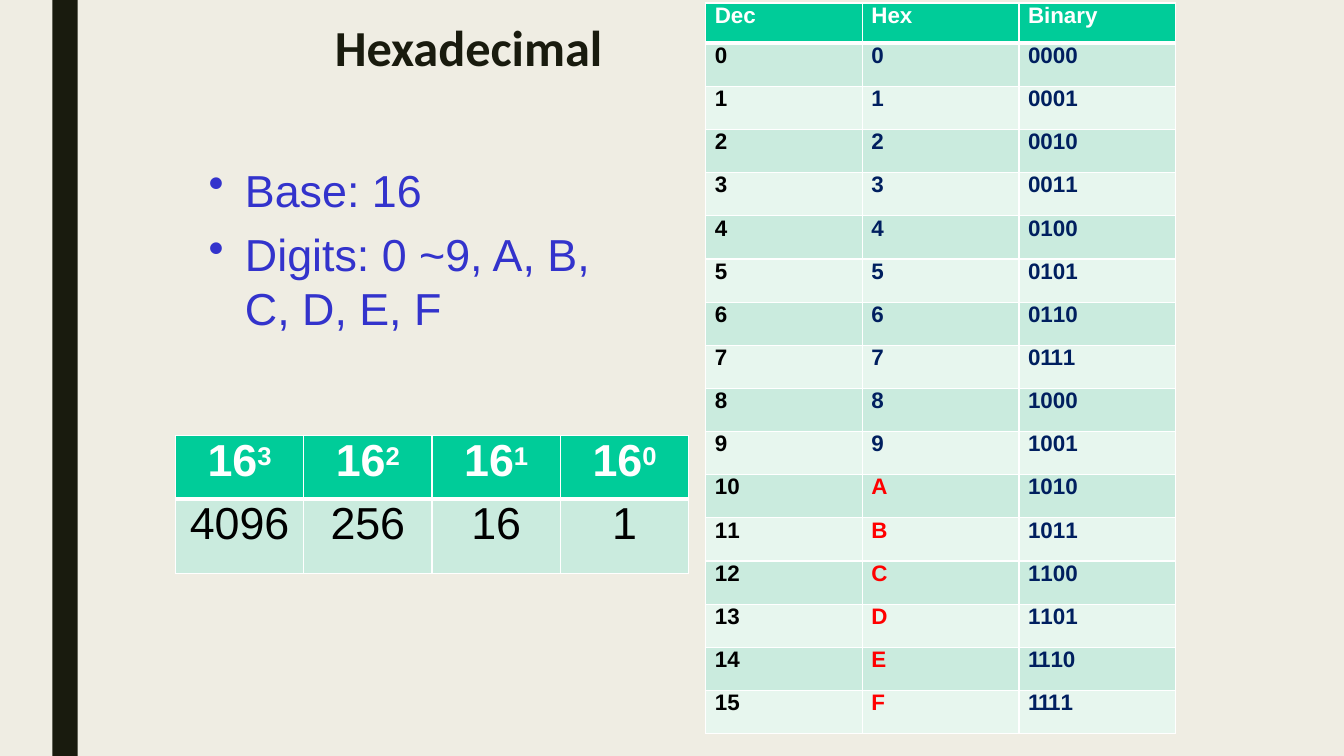
from dataclasses import dataclass
from itertools import groupby

from lxml.etree import SubElement
from pptx import Presentation
from pptx.dml.color import RGBColor
from pptx.enum.shapes import MSO_SHAPE
from pptx.enum.text import MSO_ANCHOR, PP_ALIGN
from pptx.oxml.ns import qn
from pptx.util import Inches, Pt

COLORS = {
    "page": "EFEDE3", "rail": "191B0E", "list": "3333CC", "head": "00CC99",
    "dark": "CAEBDE", "pale": "E7F6EE", "white": "FFFFFF", "black": "000000",
    "navy": "001F5F", "red": "FF0000",
}


@dataclass
class Grid:
    left: float
    top: float
    width: float
    height: float
    head: float
    rows: int
    cols: int


@dataclass
class Piece:
    text: str
    size: float
    color: str
    bold: bool = False
    font: str = "Arial"
    space: int = 0
    raised: bool = False


def rgb(name: str) -> RGBColor:
    return RGBColor.from_string(COLORS[name])


def add_piece(para, piece: Piece) -> None:
    run = para.add_run()
    run.text = piece.text
    font = run.font
    font.name, font.size, font.bold = piece.font, Pt(piece.size), piece.bold
    font.color.rgb = rgb(piece.color)
    props = run._r.get_or_add_rPr()
    if piece.space:
        props.set("spc", str(piece.space))
    if piece.raised:
        props.set("baseline", "25000")


def clear_insets(item) -> None:
    item.margin_left = item.margin_right = 0
    item.margin_top = item.margin_bottom = 0
    item.vertical_anchor = MSO_ANCHOR.TOP


def add_edge(cell, side: str, width: float) -> None:
    line = SubElement(cell._tc.get_or_add_tcPr(), qn(f"a:ln{side}"), w=str(Pt(width)))
    fill = SubElement(line, qn("a:solidFill"))
    SubElement(fill, qn("a:srgbClr"), val=COLORS["white"])


def add_grid(slide, grid: Grid):
    """Add a banded table with white edges and a thick rule under its head."""
    table = slide.shapes.add_table(
        grid.rows, grid.cols, Inches(grid.left), Inches(grid.top),
        Inches(grid.width), Inches(grid.height)).table
    for col in table.columns:
        col.width = Inches(grid.width / grid.cols)
    for i, row in enumerate(table.rows):
        row.height = Inches(grid.head if i == 0 else (grid.height - grid.head) / (grid.rows - 1))
        band = "head" if i == 0 else "dark" if i % 2 else "pale"
        for cell in row.cells:
            clear_insets(cell)
            for side in "LRTB":
                thick = (i, side) in ((0, "B"), (1, "T"))
                add_edge(cell, side, 3 if thick else 1)
            cell.fill.solid()
            cell.fill.fore_color.rgb = rgb(band)
    return table


def split_ones(text: str) -> list[tuple[str, int]]:
    """Split the text so that each 1 before another 1 is set tight."""
    marks = [(char, -80 if text[i:i + 2] == "11" else 0) for i, char in enumerate(text)]
    return [("".join(char for char, _ in group), space)
            for space, group in groupby(marks, key=lambda mark: mark[1])]


def add_codes(slide) -> None:
    table = add_grid(slide, Grid(7, 0.03, 4.66, 7.25, 0.4, 17, 3))
    rows = [("Dec", "Hex", "Binary")]
    rows += [(str(n), f"{n:X}", f"{n:04b}") for n in range(16)]
    for i, row in enumerate(rows):
        hues = ("white",) * 3 if i == 0 else ("black", "red" if i > 10 else "navy", "navy")
        for j, (text, hue) in enumerate(zip(row, hues)):
            para = table.cell(i, j).text_frame.paragraphs[0]
            para._p.get_or_add_pPr().set("marL", str(Inches(0.09)))
            for part, space in split_ones(text):
                add_piece(para, Piece(part, 16, hue, True, space=space))


def add_powers(slide) -> None:
    table = add_grid(slide, Grid(1.74, 4.32, 5.09, 1.37, 0.63, 2, 4))
    for j, power in enumerate((3, 2, 1, 0)):
        head, value = (table.cell(i, j).text_frame.paragraphs[0] for i in (0, 1))
        head.alignment = value.alignment = PP_ALIGN.CENTER
        add_piece(head, Piece("16", 32, "white", True, space=-10))
        add_piece(head, Piece(str(power), 31.5, "white", True, raised=True))
        add_piece(value, Piece(str(16 ** power), 32, "black", space=-10))


def add_list(slide) -> None:
    frame = slide.shapes.add_textbox(
        Inches(2.05), Inches(1.61), Inches(3.84), Inches(1.73)).text_frame
    frame.word_wrap = True
    clear_insets(frame)
    lines = (("Base: 16", True, 0), ("Digits: 0 ~9, A, B,", True, 7.7), ("C, D, E, F", False, 0))
    for i, (text, dot, gap) in enumerate(lines):
        para = frame.add_paragraph() if i else frame.paragraphs[0]
        para.space_before = Pt(gap)
        props = para._p.get_or_add_pPr()
        props.set("marL", str(Inches(0.38)))
        props.set("indent", str(Inches(-0.36 if dot else 0)))
        if dot:
            SubElement(props, qn("a:buChar"), char="•")
        add_piece(para, Piece(text, 32, "list"))


def add_title(slide) -> None:
    title = slide.shapes.title
    title.left, title.top = Inches(3.32), Inches(0.16)
    title.width, title.height = Inches(3.09), Inches(0.61)
    clear_insets(title.text_frame)
    para = title.text_frame.paragraphs[0]
    para.alignment = PP_ALIGN.LEFT
    add_piece(para, Piece("Hexadecimal", 36, "rail", True, "Calibri"))


def add_rail(slide) -> None:
    rail = slide.shapes.add_shape(
        MSO_SHAPE.RECTANGLE, Inches(0.52), 0, Inches(0.25), Inches(7.5))
    rail.shadow.inherit = False
    rail.fill.solid()
    rail.fill.fore_color.rgb = rgb("rail")
    rail.line.fill.background()


def main() -> None:
    deck = Presentation()
    deck.slide_width, deck.slide_height = Inches(13.33), Inches(7.5)
    slide = deck.slides.add_slide(deck.slide_layouts[5])
    slide.background.fill.solid()
    slide.background.fill.fore_color.rgb = rgb("page")
    add_rail(slide)
    add_title(slide)
    add_list(slide)
    add_codes(slide)
    add_powers(slide)
    deck.save("out.pptx")


if __name__ == "__main__":
    main()
